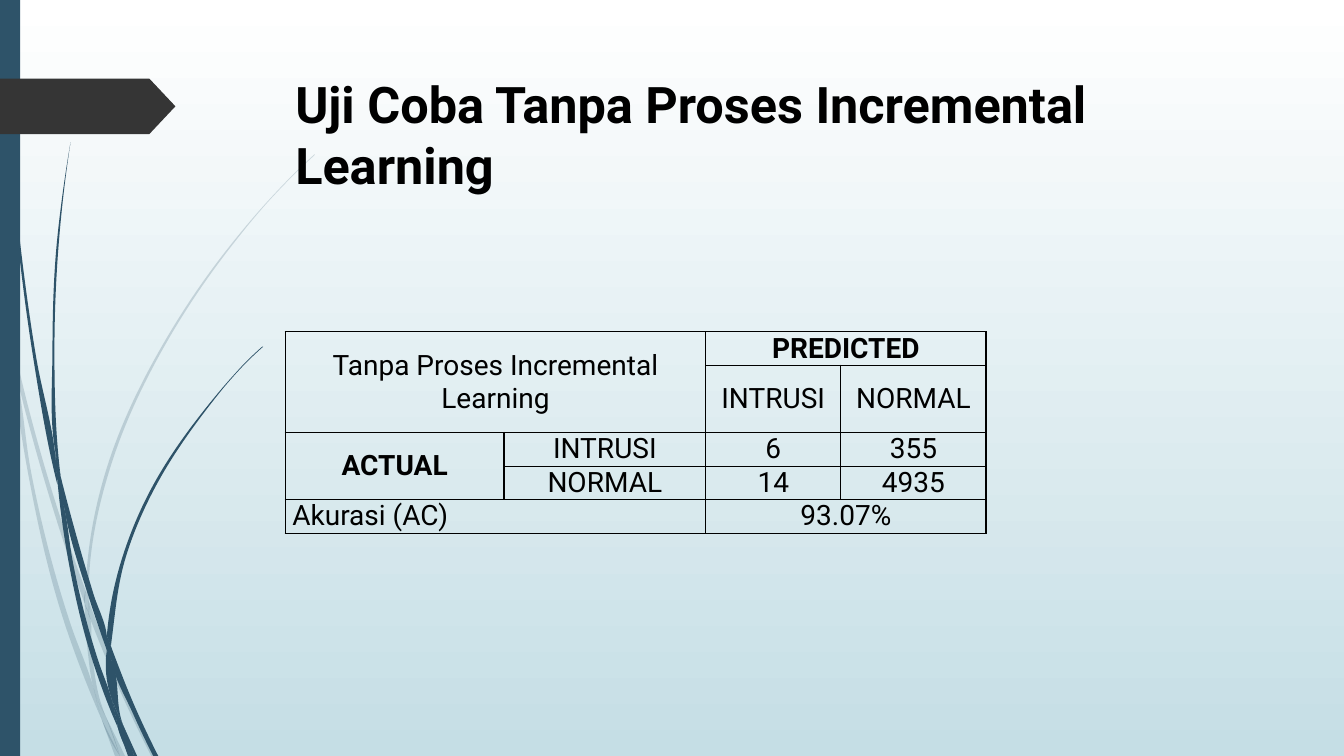
import pptx
import pptx.util
import pptx.dml.color
import pptx.enum.shapes
import pptx.enum.text
import pptx.oxml
import pptx.oxml.ns
from collections import namedtuple
from dataclasses import dataclass

Inches = pptx.util.Inches
Box = namedtuple("Box", "left top width height")


@dataclass(frozen=True)
class Theme:
    """Colours, type sizes and font of the deck."""
    accent: str = "2E5369"
    tag: str = "353535"
    ink: str = "000000"
    sky_top: str = "FFFFFF"
    sky_bottom: str = "C5DEE5"
    font: str = "Roboto"
    title_size: int = 36
    table_size: int = 20
    border: int = 1
    pale_alpha: int = 20


THEME = Theme()
SLIDE = Box(0, 0, 13.33, 7.5)

PALE_BLADES = [
    ([(0, 2.82), (.09, 3.22), (.11, 3.5)], [(.11, 3.5), (.1, 3.44), (0, 2.99)]),
    ([(.14, 3.45), (.62, 5.2), (.85, 5.86)], [(.84, 5.99), (.58, 5.22), (.17, 3.76)]),
    ([(.88, 5.96), (.92, 6.07), (1.27, 6.92), (1.55, 7.5)],
     [(1.5, 7.5), (1.23, 6.94), (.88, 6.1)]),
    ([(1.05, 7.11), (1.24, 7.5)], [(1.19, 7.5), (1.05, 7.11)]),
    ([(.11, 3.5), (.17, 3.76), (.31, 4.69), (.7, 6.19), (.93, 6.83), (.99, 7.07), (1.01, 7.14)],
     [(1.01, 7.14), (.92, 6.93), (.65, 6.21), (.28, 4.7), (.11, 3.5)]),
    ([(.84, 5.99), (.88, 6.08), (.91, 6.46), (1.03, 7.06), (1.05, 7.11)],
     [(1.05, 7.11), (.96, 6.92), (.93, 6.83), (.87, 6.46), (.84, 5.99)]),
    ([(3.12, 1.53), (2.89, 1.75), (2.68, 1.97), (2.28, 2.44), (1.58, 3.48), (1.07, 4.61),
      (.85, 5.84)],
     [(.88, 5.96), (.88, 5.84), (1.1, 4.62), (1.6, 3.49), (2.29, 2.45), (2.68, 1.98),
      (2.9, 1.75), (3.12, 1.54)]),
    ([(1.01, 7.14), (1.19, 7.5)], [(1.14, 7.5), (1.01, 7.14)]),
    ([(.85, 5.86), (.88, 5.96), (.88, 6.1)], [(.88, 6.08), (.84, 5.99), (.85, 5.86)]),
    ([(.93, 6.83), (.96, 6.92), (1.05, 7.11), (1.19, 7.5)],
     [(1.19, 7.5), (1.01, 7.14), (.99, 7.07), (.93, 6.83)]),
]
DARK_BLADES = [
    ([(.04, 0), (.05, .48), (.08, 1.09), (.19, 2.32), (.36, 3.55), (.55, 4.53), (.57, 4.81)],
     [(.57, 4.81), (.56, 4.77), (.33, 3.55), (.17, 2.33), (.07, 1.1), (.04, .48), (.03, 0)]),
    ([(.6, 4.72), (.93, 5.9), (1.06, 6.31), (1.06, 6.45)],
     [(1.06, 6.45), (.88, 5.92), (.64, 5.05), (.6, 4.72)]),
    ([(1.1, 6.41), (1.13, 6.49), (1.36, 7.06), (1.57, 7.5)],
     [(1.52, 7.5), (1.32, 7.08), (1.11, 6.56), (1.1, 6.41)]),
    ([(.57, 4.77), (.64, 5.05), (.72, 5.56), (.98, 6.57), (1.1, 6.91), (1.17, 7.22)],
     [(1.17, 7.22), (1.11, 7.08), (.93, 6.59), (.68, 5.57), (.57, 4.77)]),
    ([(.7, 1.41), (.62, 1.93), (.56, 2.45), (.52, 3.49), (.55, 4.49), (.6, 4.72)],
     [(.6, 4.72), (.58, 4.53), (.54, 3.49), (.58, 2.45), (.63, 1.93), (.7, 1.41)]),
    ([(1.22, 7.19), (1.36, 7.5)], [(1.33, 7.5), (1.22, 7.19)]),
    ([(.55, 4.49), (.6, 4.72), (.64, 5.05)], [(.64, 5.05), (.57, 4.77), (.55, 4.49)]),
    ([(2.6, 3.44), (2.45, 3.58), (2.31, 3.73), (2.04, 4.05), (1.56, 4.74), (1.22, 5.51),
      (1.06, 6.31)],
     [(1.1, 6.41), (1.11, 6.33), (1.25, 5.52), (1.58, 4.76), (2.05, 4.06), (2.31, 3.74),
      (2.45, 3.59), (2.61, 3.44)]),
    ([(1.17, 7.22), (1.31, 7.5)], [(1.27, 7.5), (1.17, 7.22)]),
    ([(1.06, 6.45), (1.11, 6.56), (1.21, 7.16), (1.22, 7.19)],
     [(1.22, 7.19), (1.16, 7.06), (1.1, 6.91), (1.06, 6.45)]),
    ([(1.06, 6.31), (1.1, 6.41), (1.11, 6.56)], [(1.11, 6.56), (1.06, 6.45), (1.06, 6.31)]),
    ([(1.1, 6.91), (1.16, 7.06), (1.22, 7.19), (1.33, 7.5)],
     [(1.3, 7.5), (1.17, 7.22), (1.16, 7.17), (1.1, 6.91)]),
]


def rgb(code):
    """Turn a hex code into a colour."""
    return pptx.dml.color.RGBColor.from_string(code)


def place(box):
    """Return the lengths of a box."""
    return [Inches(value) for value in box]


def curve_handles(knots):
    """Return two Bezier handles per span of a smooth curve x(y) through the knots."""
    spans = [b[1] - a[1] for a, b in zip(knots, knots[1:])]
    rates = [(b[0] - a[0]) / h for a, b, h in zip(knots, knots[1:], spans)]
    slopes = [(rates[i] * spans[i + 1] + rates[i + 1] * spans[i]) / (spans[i] + spans[i + 1])
              for i in range(len(rates) - 1)] or rates
    slopes = [2 * rates[0] - slopes[0], *slopes, 2 * rates[-1] - slopes[-1]]
    return [[(a[0] + m * h / 3, a[1] + h / 3), (b[0] - n * h / 3, b[1] - h / 3)]
            for a, b, h, m, n in zip(knots, knots[1:], spans, slopes, slopes[1:])]


def paint(shape, color, alpha=100):
    """Give a shape a flat fill with no line or shadow."""
    shape.shadow.inherit = False
    shape.fill.solid()
    shape.fill.fore_color.rgb = rgb(color)
    shape.line.fill.background()
    if alpha < 100:
        tint = shape.fill._xPr.find(".//" + pptx.oxml.ns.qn("a:srgbClr"))
        tint.append(pptx.oxml.parse_xml(
            f'<a:alpha {pptx.oxml.ns.nsdecls("a")} val="{alpha * 1000}"/>'))


def write_text(frame, text, size, bold=False, align=pptx.enum.text.PP_ALIGN.LEFT):
    """Write one formatted paragraph into a text frame."""
    para = frame.paragraphs[0]
    para.alignment = align
    span = para.add_run()
    span.text = text
    span.font.name = THEME.font
    span.font.size = pptx.util.Pt(size)
    span.font.bold = bold
    span.font.color.rgb = rgb(THEME.ink)


def draw_background(page):
    """Fill the page with a gradient from top to bottom."""
    fill = page.background.fill
    fill.gradient()
    fill.gradient_angle = 270
    for stop, color in zip(fill.gradient_stops, (THEME.sky_top, THEME.sky_bottom)):
        stop.color.rgb = rgb(color)


def draw_blade(group, box, edges):
    """Draw one blade whose two edges are smooth curves."""
    down, back = edges
    points = [(Inches(box.left + x), Inches(box.top + y)) for x, y in down + back]
    builder = group.shapes.build_freeform(*points[0], scale=1.0)
    builder.add_line_segments(points[1:], close=False)
    blade = builder.convert_to_shape()
    handles = curve_handles(down) + [None] + curve_handles(back)
    qn = pptx.oxml.ns.qn
    lines = list(blade._element.iter(qn("a:lnTo")))
    for line, pair in zip(lines, handles):
        if pair:
            line.tag = qn("a:cubicBezTo")
            for spot, (x, y) in enumerate(pair):
                handle = line.makeelement(qn("a:pt"), {
                    "x": str(Inches(box.left + x) - blade.left),
                    "y": str(Inches(box.top + y) - blade.top)})
                line.insert(spot, handle)
    return blade


def draw_grass(page, box, blades, alpha=100):
    """Draw a group of curved blades inside the box."""
    group = page.shapes.add_group_shape()
    for edges in blades:
        paint(draw_blade(group, box, edges), THEME.accent, alpha)


def draw_side(page, box):
    """Draw the grass, the side bar and the page tag."""
    draw_grass(page, box, PALE_BLADES, THEME.pale_alpha)
    draw_grass(page, box, DARK_BLADES)
    kinds = pptx.enum.shapes.MSO_SHAPE
    paint(page.shapes.add_shape(kinds.RECTANGLE, *place(box._replace(width=.2))), THEME.accent)
    tag_box = Box(box.left, box.top + .78, 1.74, .55)
    tag = page.shapes.add_shape(kinds.PENTAGON, *place(tag_box))
    tag.adjustments[0] = .47
    paint(tag, THEME.tag)


def draw_title(page, box):
    """Write the slide title."""
    frame = page.shapes.add_textbox(*place(box)).text_frame
    frame.word_wrap = True
    write_text(frame, "Uji Coba Tanpa Proses Incremental Learning", THEME.title_size, bold=True)


def draw_borders(cell):
    """Line all four sides of a cell."""
    sides = [pptx.oxml.parse_xml(
        f'<a:{side} {pptx.oxml.ns.nsdecls("a")} w="{pptx.util.Pt(THEME.border)}">'
        f'<a:solidFill><a:srgbClr val="{THEME.ink}"/></a:solidFill></a:{side}>')
        for side in ("lnL", "lnR", "lnT", "lnB")]
    cell._tc.get_or_add_tcPr()[0:0] = sides


def draw_confusion_table(page, box):
    """Draw the confusion matrix, whose rows grow to fit their text."""
    rows = [
        ["Tanpa Proses Incremental Learning", "", "PREDICTED", ""],
        ["", "", "INTRUSI", "NORMAL"],
        ["ACTUAL", "INTRUSI", "6", "355"],
        ["", "NORMAL", "14", "4935"],
        ["Akurasi (AC)", "", "93.07%", ""],
    ]
    merges = [(0, 0, 1, 1), (0, 2, 0, 3), (2, 0, 3, 0), (4, 0, 4, 1), (4, 2, 4, 3)]
    holder = page.shapes.add_table(len(rows), len(rows[0]), *place(box._replace(height=1)))
    holder.height = Inches(box.height)
    table = holder.table
    table.first_row = table.horz_banding = False
    for column, width in zip(table.columns, (2.17, 2, 1.34, 1.44)):
        column.width = Inches(width)
    for top, left, bottom, right in merges:
        table.cell(top, left).merge(table.cell(bottom, right))
    aligns, anchors = pptx.enum.text.PP_ALIGN, pptx.enum.text.MSO_ANCHOR
    for r, texts in enumerate(rows):
        for c, text in enumerate(texts):
            cell = table.cell(r, c)
            cell.fill.background()
            draw_borders(cell)
            cell.margin_left = cell.margin_right = Inches(.07)
            cell.margin_top = cell.margin_bottom = 0
            cell.vertical_anchor = anchors.TOP if r == 4 else anchors.MIDDLE
            if text:
                write_text(cell.text_frame, text, THEME.table_size,
                           bold=text in ("PREDICTED", "ACTUAL"),
                           align=aligns.LEFT if (r, c) == (4, 0) else aligns.CENTER)


def main():
    """Build the deck and save it."""
    deck = pptx.Presentation()
    deck.slide_width, deck.slide_height = Inches(SLIDE.width), Inches(SLIDE.height)
    page = deck.slides.add_slide(deck.slide_layouts[6])
    draw_background(page)
    draw_side(page, SLIDE)
    draw_title(page, Box(2.83, .68, 9.75, 1.4))
    draw_confusion_table(page, Box(2.83, 3.29, 6.95, 1.67))
    deck.save("out.pptx")


if __name__ == "__main__":
    main()
